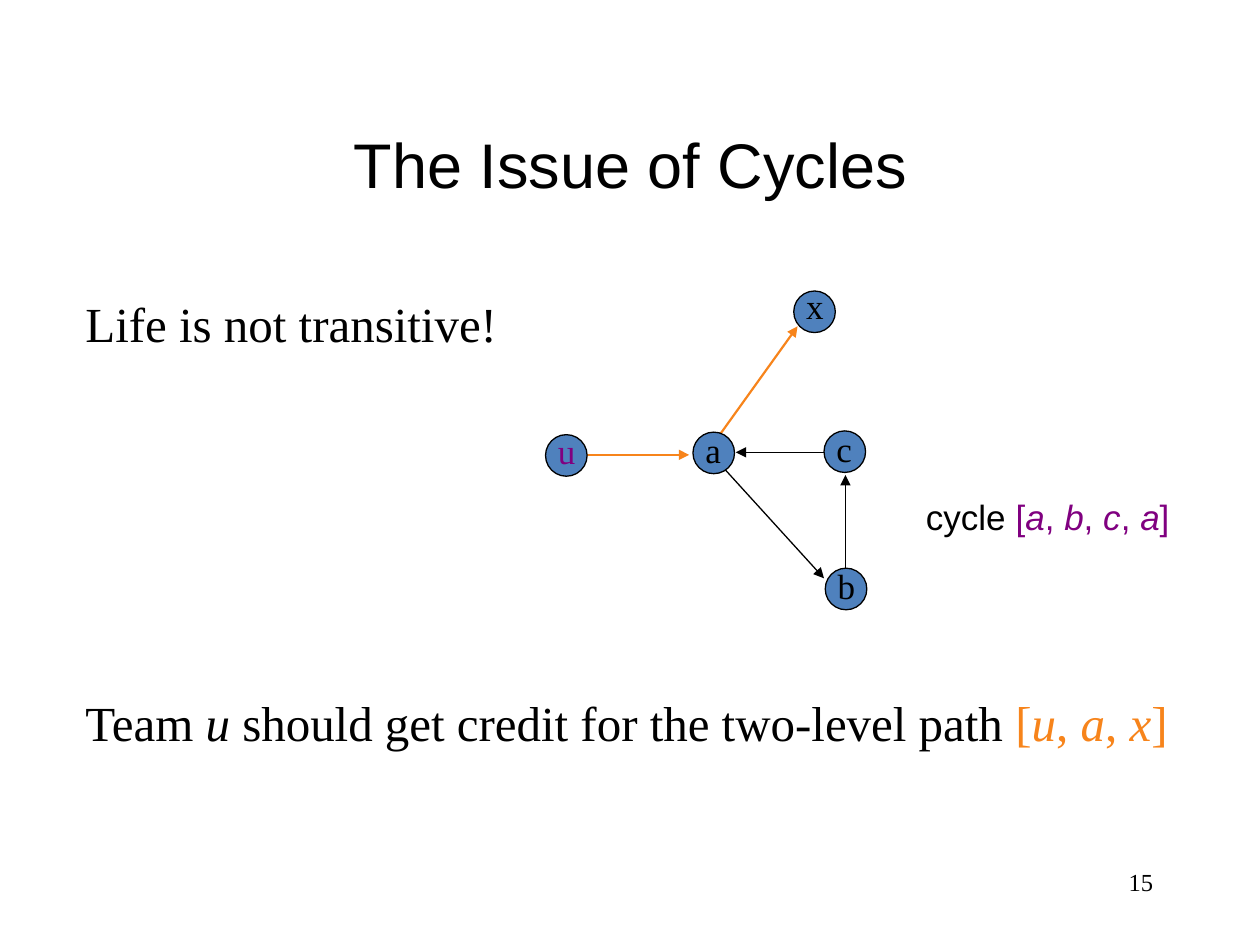
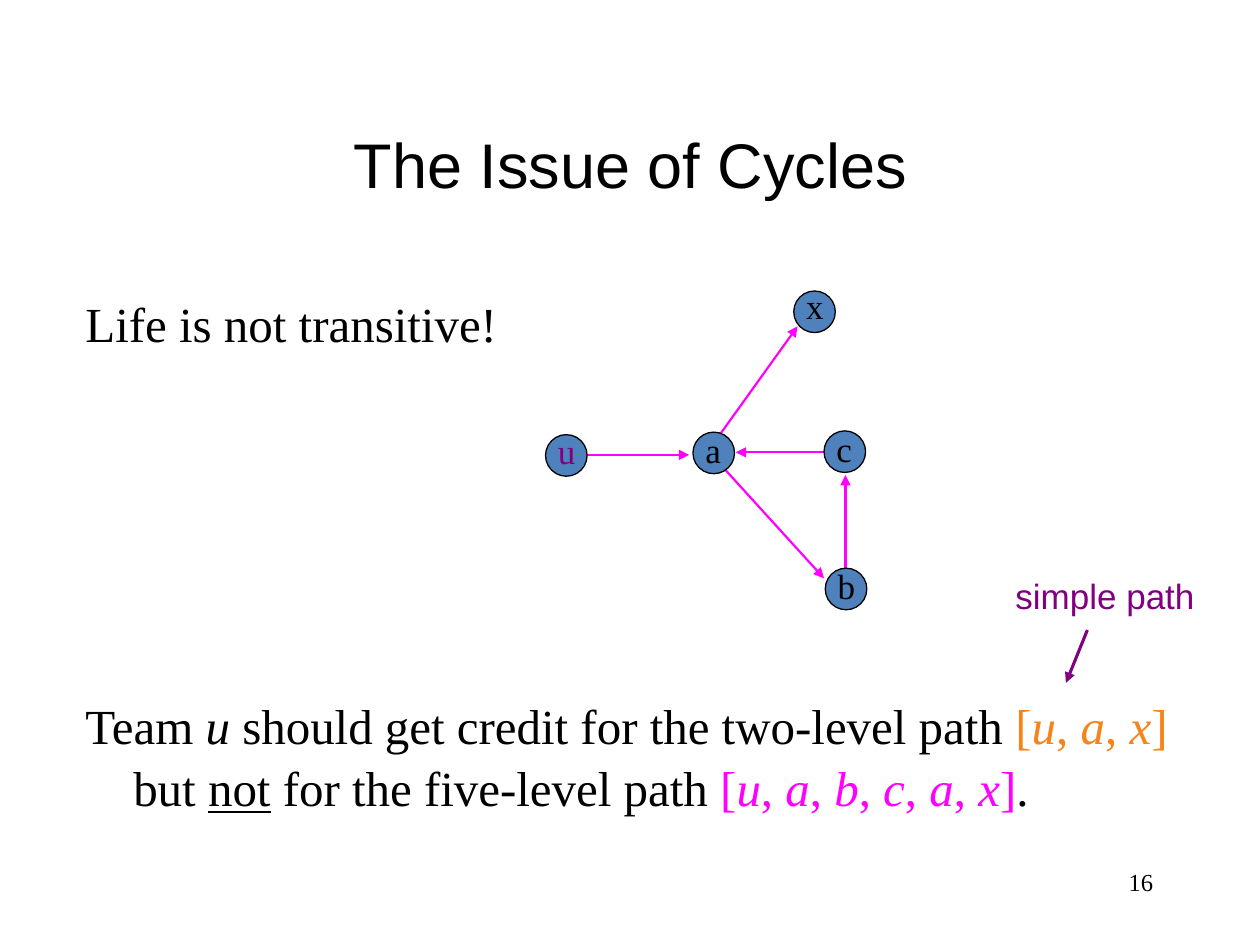
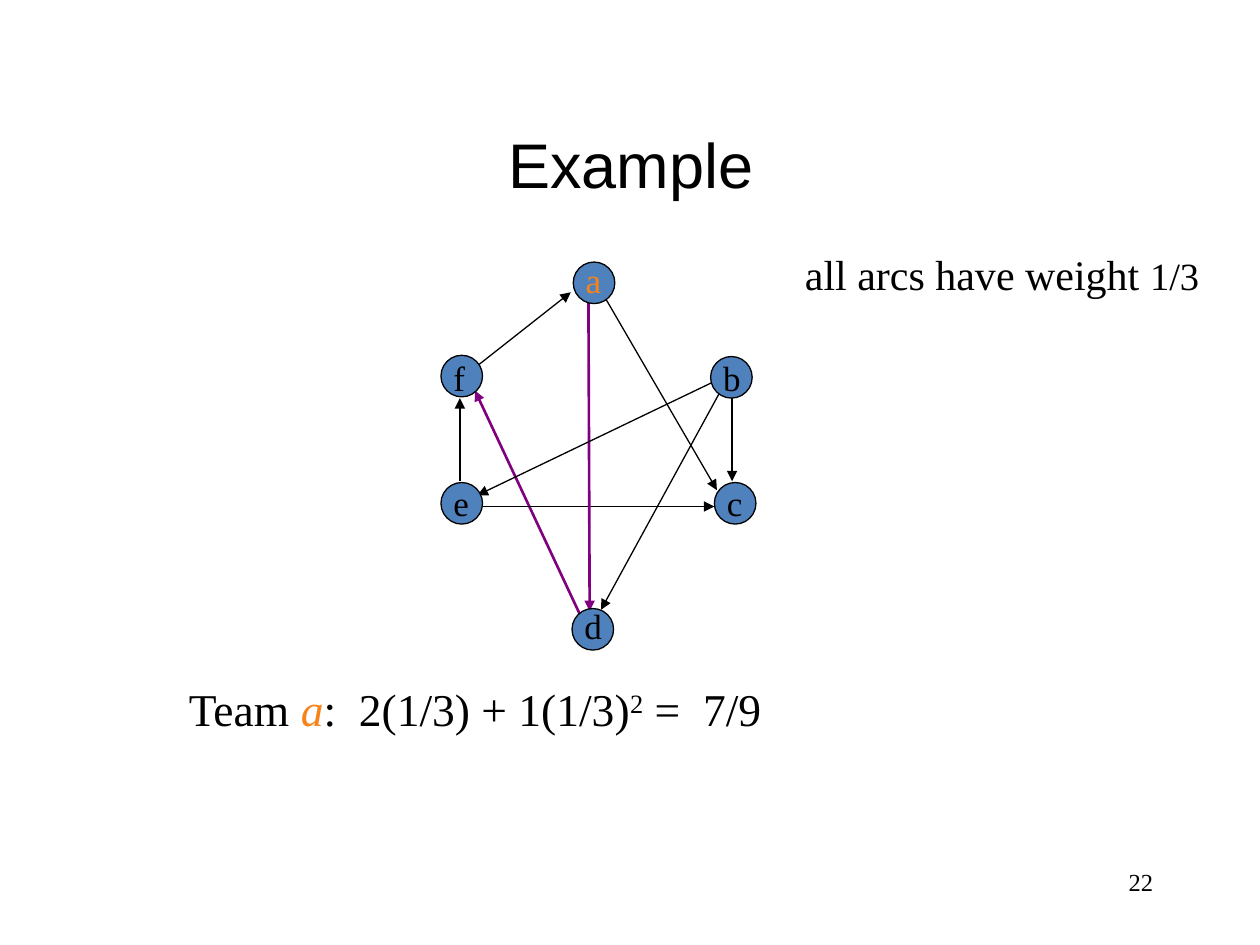
import pptx
import pptx.util
import pptx.dml.color
import pptx.enum.shapes
import pptx.enum.text
import pptx.oxml.ns
from lxml import etree

Inches, Pt = pptx.util.Inches, pptx.util.Pt
RGBColor = pptx.dml.color.RGBColor
ALIGN = pptx.enum.text.PP_ALIGN
ANCHOR = pptx.enum.text.MSO_ANCHOR
AUTO_SIZE = pptx.enum.text.MSO_AUTO_SIZE
qn = pptx.oxml.ns.qn

BLACK = RGBColor(0x00, 0x00, 0x00)
NODE_BLUE = RGBColor(0x4F, 0x81, 0xBD)
ORANGE = RGBColor(0xF7, 0x84, 0x1B)
PURPLE = RGBColor(0x80, 0x00, 0x80)
MAGENTA = RGBColor(0xFF, 0x00, 0xFF)
SERIF, SANS = "Times New Roman", "Arial"
NODE_SIZE = 0.33
THIN, MEDIUM, BOLD, POINTER = 0.74, 1.25, 1.5, 1.76
HANGING = 0.38


def vertex_list(vertices, color):
    runs = [("[", color)]
    for position, vertex in enumerate(vertices):
        if position:
            runs.append((", ", color))
        runs.append((vertex, color, "italic"))
    return runs + [("]", color)]


CREDIT = [("Team ", BLACK), ("u", BLACK, "italic"),
          (" should get credit for the two-level path ", BLACK),
          *vertex_list("uax", ORANGE)]
NO_CREDIT = [(" but ", BLACK), ("not", BLACK, "underline"),
             (" for the five-level path ", BLACK),
             *vertex_list("uabcax", MAGENTA), (".", BLACK)]
CYCLE = [("cycle ", BLACK), *vertex_list("abca", PURPLE)]
SCORE = [("Team ", BLACK), ("a", ORANGE, "italic"),
         (":  2(1/3) + 1(1/3)", BLACK), ("2", BLACK, "superscript"),
         (" =  7/9", BLACK)]

CYCLE_NODES = {
    "a": (5.5, 3.43, 3.35, BLACK),
    "u": (4.33, 3.45, 3.36, PURPLE),
    "c": (6.54, 3.42, 3.34, BLACK),
    "b": (6.55, 4.51, 4.43, BLACK),
    "x": (6.3, 2.31, 2.21, BLACK),
}
CYCLE_ARCS = {
    "ax": ((5.67, 3.51), (6.33, 2.59)),
    "bc": ((6.71, 4.8), (6.71, 3.77)),
    "ab": ((5.63, 3.59), (6.54, 4.59)),
    "ca": ((6.59, 3.59), (5.84, 3.59)),
    "ua": ((4.55, 3.61), (5.47, 3.61)),
}
EXAMPLE_NODES = {
    "d": (4.54, 4.83, 4.75, BLACK),
    "a": (4.55, 2.08, 2.0, ORANGE),
    "b": (5.64, 2.83, 2.78, BLACK),
    "c": (5.67, 3.83, 3.77, BLACK),
    "e": (3.5, 3.83, 3.77, BLACK),
    "f": (3.5, 2.82, 2.78, BLACK),
}
EXAMPLE_ARCS = {
    "ef": ((3.65, 3.82), (3.65, 3.16)),
    "bd": ((5.77, 3.01), (4.77, 4.84)),
    "bc": ((5.81, 2.93), (5.81, 3.82)),
    "ac": ((4.76, 2.29), (5.69, 3.89)),
    "fa": ((3.78, 2.91), (4.53, 2.32)),
    "df": ((4.67, 5.02), (3.77, 3.1)),
    "ec": ((3.83, 4.02), (5.67, 4.02)),
    "ad": ((4.67, 2.27), (4.68, 4.85)),
    "be": ((5.81, 2.96), (3.79, 3.93)),
}
LABEL_WIDTHS = {"a": 0.32, "c": 0.32, "e": 0.32, "f": 0.29}


def add_text(slide, box, runs, size, font=SERIF, align=None, anchor=None,
             wrap=True, grow=False, hanging=False, spacing=0.9, before=7):
    frame = slide.shapes.add_textbox(*map(Inches, box)).text_frame
    frame.word_wrap = wrap
    if grow:
        frame.auto_size = AUTO_SIZE.SHAPE_TO_FIT_TEXT
    if anchor is not None:
        frame.vertical_anchor = anchor
    paragraph = frame.paragraphs[0]
    if align is not None:
        paragraph.alignment = align
    if hanging:
        paragraph.line_spacing = spacing
        paragraph.space_before = Pt(before)
        properties = paragraph._p.get_or_add_pPr()
        properties.set("marL", str(Inches(HANGING)))
        properties.set("indent", str(-Inches(HANGING)))
    for text, color, *style in runs:
        run = paragraph.add_run()
        run.text = text
        run.font.name = font
        run.font.size = Pt(size)
        run.font.color.rgb = color
        if "italic" in style:
            run.font.italic = True
        if "underline" in style:
            run.font.underline = True
        if "superscript" in style:
            run.font._element.set("baseline", "30000")
    return paragraph


def add_arrow(slide, start, end, color, width):
    arrow = slide.shapes.add_connector(
        pptx.enum.shapes.MSO_CONNECTOR.STRAIGHT, *map(Inches, start + end))
    arrow.line.color.rgb = color
    arrow.line.width = Pt(width)
    head = etree.SubElement(arrow.line._get_or_add_ln(), qn("a:tailEnd"))
    head.set("type", "triangle")
    etree.SubElement(arrow._element.spPr, qn("a:effectLst"))


def add_graph(slide, nodes, arcs, highlighted, color, width):
    for arc, (start, end) in arcs.items():
        if arc in highlighted:
            add_arrow(slide, start, end, color, width)
        else:
            add_arrow(slide, start, end, BLACK, THIN)
    for letter, (left, top, label_top, label_color) in nodes.items():
        node = slide.shapes.add_shape(
            pptx.enum.shapes.MSO_SHAPE.OVAL,
            *map(Inches, (left, top, NODE_SIZE, NODE_SIZE)))
        node.shadow.inherit = False
        node.fill.solid()
        node.fill.fore_color.rgb = NODE_BLUE
        node.line.color.rgb = BLACK
        node.line.width = Pt(THIN)
        add_text(slide, (left, label_top, LABEL_WIDTHS.get(letter, 0.34), 0.44),
                 [(letter, label_color)], 20, wrap=False, grow=True)


def add_slide(title, number):
    slide = deck.slides.add_slide(deck.slide_layouts[6])
    add_text(slide, (7.17, 6.83, 2.08, 0.5), [(number, BLACK)], 14, align=ALIGN.RIGHT)
    add_text(slide, (0.67, 0.67, 8.67, 1.25), [(title, BLACK)], 36, SANS,
             align=ALIGN.CENTER, anchor=ANCHOR.MIDDLE)
    return slide


def add_cycle_slide(number, highlighted, color):
    slide = add_slide("The Issue of Cycles", number)
    add_graph(slide, CYCLE_NODES, CYCLE_ARCS, highlighted, color, MEDIUM)
    add_text(slide, (0.58, 2.33, 4.08, 0.58),
             [("Life is not transitive!", BLACK)], 28, hanging=True)
    return slide


deck = pptx.Presentation()
deck.slide_width, deck.slide_height = Inches(10), Inches(7.5)

simple_path = add_cycle_slide("15", ("ua", "ax"), ORANGE)
add_text(simple_path, (0.58, 5.5, 8.83, 0.67), CREDIT, 28, hanging=True)
add_text(simple_path, (7.25, 3.92, 2.25, 0.58), CYCLE, 20, SANS, hanging=True, before=5)

cyclic_path = add_cycle_slide("16", tuple(CYCLE_ARCS), MAGENTA)
add_text(cyclic_path, (7.96, 4.51, 1.62, 0.44), [("simple path", PURPLE)], 20, SANS,
         wrap=False, grow=True)
add_arrow(cyclic_path, (8.63, 5.0), (8.46, 5.42), PURPLE, POINTER)
add_text(cyclic_path, (0.58, 5.44, 8.83, 0.92), CREDIT + NO_CREDIT, 28,
         hanging=True, spacing=Pt(35.6))

example = add_slide("Example", "22")
add_graph(example, EXAMPLE_NODES, EXAMPLE_ARCS, ("ad", "df"), PURPLE, BOLD)
add_text(example, (1.4, 5.36, 5.01, 0.54), SCORE, 26, grow=True)
weights = add_text(example, (6.29, 1.92, 3.33, 0.5),
                   [("all arcs have weight ", BLACK), ("1/3", BLACK)], 24,
                   wrap=False, grow=True)
weights.runs[-1].font.size = Pt(22)

deck.save("out.pptx")
